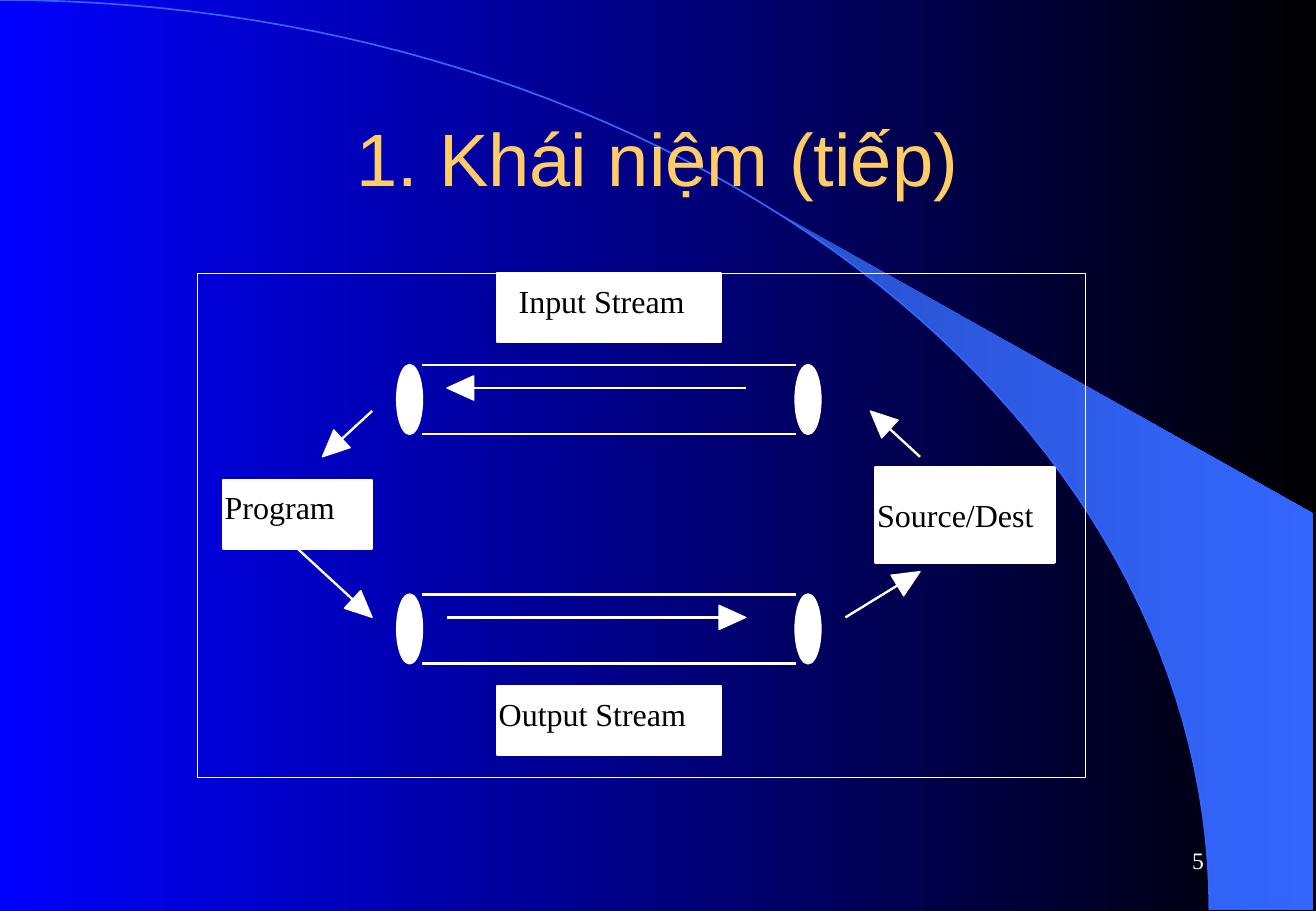
"""Build the stream concept slide: two pipes between a program and a source."""
from dataclasses import dataclass
from math import atan2, cos, pi, sin
from typing import Any, NamedTuple, Optional

from lxml.etree import SubElement
from pptx import Presentation
from pptx.dml.color import RGBColor
from pptx.enum.shapes import MSO_CONNECTOR, MSO_SHAPE
from pptx.enum.text import MSO_ANCHOR, PP_ALIGN
from pptx.oxml.ns import qn
from pptx.util import Inches, Pt

COLORS = {"blue": "0000FF", "black": "000000", "white": "FFFFFF",
          "gold": "FFCC66", "arc": "3366FF", "band": "2851CC"}
WIDTH, HEIGHT = Inches(10.84), Inches(7.5)
LEFT, TOP = Inches(1.63), Inches(2.25)
COL, ROW = Pt(14.77), Pt(13.6)
HEAD_LENGTH, HEAD_HALF = Inches(0.22), Inches(0.1)
STROKE = 1.39


class Box(NamedTuple):
    """Left, top, width and height."""
    x: float
    y: float
    w: float
    h: float


@dataclass(frozen=True)
class Label:
    """A white box on the grid, with its text inset in columns and rows."""
    text: str
    box: Box
    indent: float = 0.08
    drop: float = 0.34


@dataclass(frozen=True)
class Arrow:
    """An arrow between two grid points, joined to a label if it names one."""
    start: tuple[float, float]
    tip: tuple[float, float]
    origin: Optional[str] = None


@dataclass(frozen=True)
class Caption:
    """Loose text in a box given in percent of the slide."""
    text: str
    box: Box
    size: int
    font: str
    color: str
    align: PP_ALIGN


FRAME = Box(0, 0, 35.64, 21.97)
PIPE_ROWS = (4, 14)
PIPE_COLS = (8, 24)
LABELS = (
    Label("Program", Box(1, 9, 6, 3)),
    Label("Output Stream", Box(12, 18, 9, 3)),
    Label("Source/Dest", Box(27.2, 8.47, 7.2, 4.13), drop=1.2),
    Label("Input Stream", Box(12, 0, 9, 3), indent=0.88),
)
ARROWS = (
    Arrow((22, 5), (10, 5)),
    Arrow((10, 15), (22, 15)),
    Arrow((7, 6), (5, 8)),
    Arrow((4, 12), (7, 15), "Program"),
    Arrow((26, 15), (29, 13)),
    Arrow((29, 8), (27, 6)),
)
CAPTIONS = (
    Caption("5", Box(71.6, 91.1, 20.8, 6.7), 14, "Times New Roman", "white", PP_ALIGN.RIGHT),
    Caption("1. Khái niệm (tiếp)", Box(7.5, 8.9, 85, 16.7), 44, "Arial", "gold", PP_ALIGN.CENTER),
)


def rgb(name: str) -> RGBColor:
    """Look up a colour."""
    return RGBColor.from_string(COLORS[name])


def grid(x: float, y: float) -> tuple[int, int]:
    """Turn a grid point into slide lengths."""
    return round(LEFT + x * COL), round(TOP + y * ROW)


def share(x: float, y: float) -> tuple[int, int]:
    """Turn percentages of the slide into lengths."""
    return round(WIDTH * x / 100), round(HEIGHT * y / 100)


def set_all(target: Any, values: dict[str, Any]) -> None:
    """Set each attribute in values."""
    for name, value in values.items():
        setattr(target, name, value)


def gradient(fill: Any, names: tuple[str, str]) -> None:
    """Fill from left to right between two colours."""
    fill.gradient()
    fill.gradient_angle = 0
    for stop, name in zip(fill.gradient_stops, names):
        stop.color.rgb = rgb(name)


def style(sp: Any, fill: Optional[str], line: Optional[str], width: float = STROKE) -> None:
    """Give a shape a plain fill and outline."""
    sp.shadow.inherit = False
    if fill:
        sp.fill.solid()
        sp.fill.fore_color.rgb = rgb(fill)
    else:
        sp.fill.background()
    if line:
        sp.line.color.rgb = rgb(line)
        sp.line.width = Pt(width)
    else:
        sp.line.fill.background()


def add_outline(s: Any, points: list[tuple[int, int]], close: bool) -> Any:
    """Draw a freeform through the points."""
    builder = s.shapes.build_freeform(*points[0], scale=1.0)
    builder.add_line_segments(points[1:], close=close)
    return builder.convert_to_shape()


def add_block(s: Any, kind: MSO_SHAPE, box: Box, fill: Optional[str], width: float = STROKE) -> Any:
    """Draw a white-lined shape on the grid."""
    sp = s.shapes.add_shape(kind, *grid(box.x, box.y), round(box.w * COL), round(box.h * ROW))
    style(sp, fill, "white", width)
    return sp


def add_line(s: Any, start: tuple[int, int], end: tuple[int, int]) -> Any:
    """Draw a straight white line."""
    line = s.shapes.add_connector(MSO_CONNECTOR.STRAIGHT, *start, *end)
    line.line.color.rgb = rgb("white")
    line.line.width = Pt(STROKE)
    SubElement(line.element.spPr, qn("a:effectLst"))
    return line


def write(tf: Any, text: str, size: int, font: str, color: str, align: PP_ALIGN) -> None:
    """Write one run of text."""
    p = tf.paragraphs[0]
    p.alignment = align
    r = p.add_run()
    r.text = text
    set_all(r.font, {"size": Pt(size), "name": font})
    r.font.color.rgb = rgb(color)


def add_label(s: Any, label: Label) -> Any:
    """Draw a white box with its text."""
    sp = add_block(s, MSO_SHAPE.RECTANGLE, label.box, "white")
    set_all(sp.text_frame, {
        "word_wrap": True, "vertical_anchor": MSO_ANCHOR.TOP,
        "margin_left": round(label.indent * COL), "margin_top": round(label.drop * ROW),
        "margin_right": 0, "margin_bottom": 0})
    write(sp.text_frame, label.text, 19, "Times New Roman", "black", PP_ALIGN.LEFT)
    return sp


def add_pipe(s: Any, row: float) -> None:
    """Draw two end caps and the walls between them."""
    for col in PIPE_COLS:
        add_block(s, MSO_SHAPE.OVAL, Box(col, row, 1, 3), "white")
    for wall in (row, row + 3):
        add_line(s, grid(PIPE_COLS[0] + 1, wall), grid(PIPE_COLS[1], wall))


def add_arrow(s: Any, arrow: Arrow, labels: dict[str, Any]) -> None:
    """Draw a shaft and a triangular head."""
    start, tip = grid(*arrow.start), grid(*arrow.tip)
    angle = atan2(tip[1] - start[1], tip[0] - start[0])
    dx, dy = cos(angle), sin(angle)
    neck = (round(tip[0] - HEAD_LENGTH * dx), round(tip[1] - HEAD_LENGTH * dy))
    shaft = add_line(s, start, neck)
    if arrow.origin:
        shaft.begin_connect(labels[arrow.origin], 2)
    barbs = [(round(neck[0] - side * dy), round(neck[1] + side * dx))
             for side in (HEAD_HALF, -HEAD_HALF)]
    style(add_outline(s, [barbs[0], tip, barbs[1]], True), "white", "white", 0.75)


def arc_points(first: float, steps: int = 60) -> list[tuple[int, int]]:
    """Follow the quarter ellipse from the first angle down to the bottom."""
    angles = (first + (pi / 2 - first) * i / steps for i in range(steps + 1))
    return [share(91.9 * sin(a), 99.9 * (1 - cos(a))) for a in angles]


def add_backdrop(s: Any) -> None:
    """Draw the gradient, the bright band and the arc."""
    gradient(s.background.fill, ("blue", "black"))
    band = add_outline(s, arc_points(0.69) + [share(99.8, 99.9), share(99.8, 56.4)], True)
    style(band, None, None)
    gradient(band.fill, ("band", "arc"))
    style(add_outline(s, arc_points(0), False), None, "arc", 1)


def add_caption(s: Any, caption: Caption) -> None:
    """Write loose text on the slide."""
    box = caption.box
    tf = s.shapes.add_textbox(*share(box.x, box.y), *share(box.w, box.h)).text_frame
    set_all(tf, {"word_wrap": True, "vertical_anchor": MSO_ANCHOR.MIDDLE})
    write(tf, caption.text, caption.size, caption.font, caption.color, caption.align)


def main() -> None:
    """Build and save the slide."""
    prs = Presentation()
    set_all(prs, {"slide_width": WIDTH, "slide_height": HEIGHT})
    s = prs.slides.add_slide(prs.slide_layouts[6])
    add_backdrop(s)
    for caption in CAPTIONS:
        add_caption(s, caption)
    add_block(s, MSO_SHAPE.RECTANGLE, FRAME, None, 0.75)
    for row in PIPE_ROWS:
        add_pipe(s, row)
    labels = {label.text: add_label(s, label) for label in LABELS}
    for arrow in ARROWS:
        add_arrow(s, arrow, labels)
    prs.save("out.pptx")


if __name__ == "__main__":
    main()
